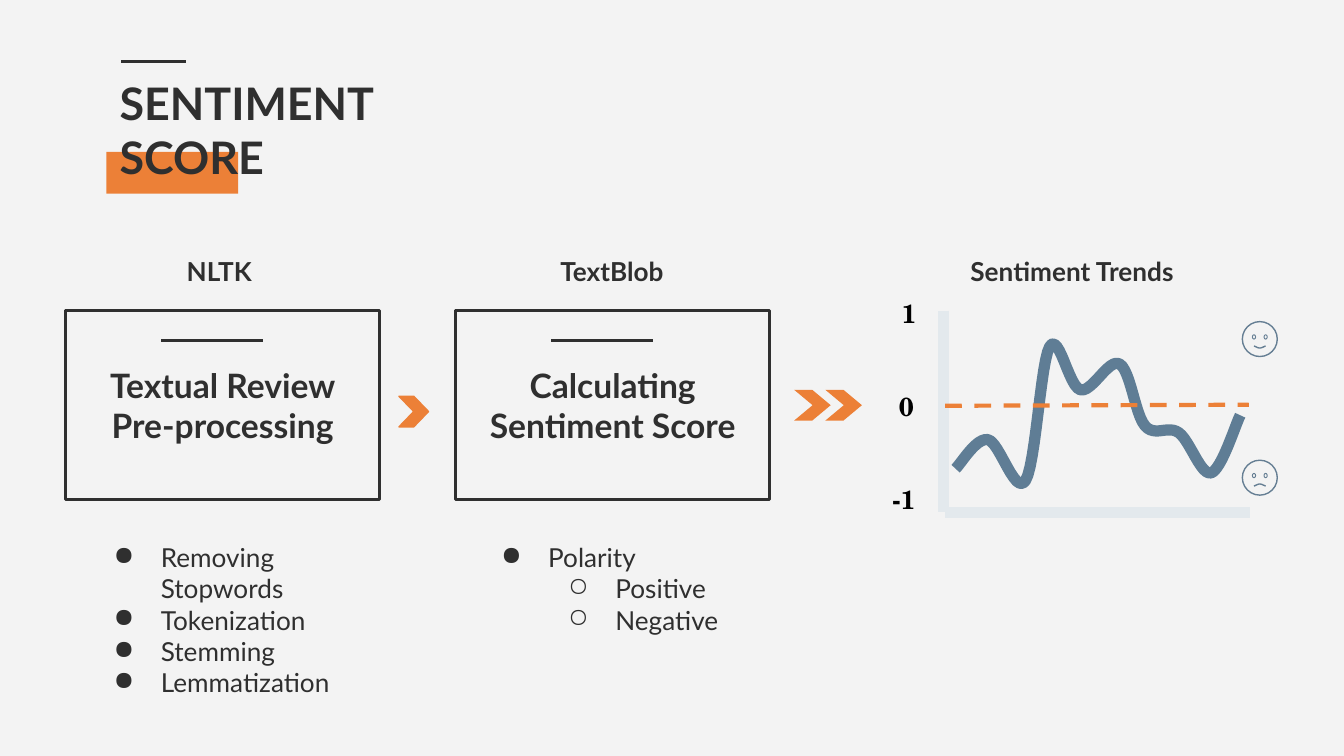
from dataclasses import dataclass

from lxml import etree
from pptx import Presentation
from pptx.dml.color import RGBColor
from pptx.enum.dml import MSO_LINE
from pptx.enum.shapes import MSO_CONNECTOR, MSO_SHAPE
from pptx.enum.text import MSO_ANCHOR, PP_ALIGN
from pptx.oxml.ns import qn
from pptx.util import Cm, Pt

RECT, OVAL, CHEVRON = MSO_SHAPE.RECTANGLE, MSO_SHAPE.OVAL, MSO_SHAPE.CHEVRON
STRAIGHT, DASH = MSO_CONNECTOR.STRAIGHT, MSO_LINE.DASH
TOP, MIDDLE = MSO_ANCHOR.TOP, MSO_ANCHOR.MIDDLE
LEFT, CENTER = PP_ALIGN.LEFT, PP_ALIGN.CENTER


@dataclass(frozen=True)
class Theme:
    background: str = "F3F3F3"
    ink: str = "2F2F2F"
    accent: str = "EC8037"
    trend: str = "5F7D95"
    face: str = "657E93"
    axis: str = "E3E9ED"
    tick: str = "000000"
    font: str = "Lato"
    tick_font: str = "TeX Gyre Schola"
    title: float = 24
    stage: float = 18
    body: float = 14
    rule: float = 1.5
    thick: float = 6


THEME = Theme()


def write(frame, lines, size=THEME.body, color=THEME.ink, font=THEME.font, bold=False,
          align=LEFT, anchor=TOP, inset=0.25, wrap=True, bullets=False):
    """Fill a text frame; with bullets, each line is a (level, text) pair."""
    frame.word_wrap, frame.vertical_anchor = wrap, anchor
    frame.margin_left = Cm(inset)
    frame.margin_right = frame.margin_top = frame.margin_bottom = Cm(0.25)
    for index, line in enumerate(lines):
        paragraph = frame.paragraphs[0] if index == 0 else frame.add_paragraph()
        level, text = line if bullets else (0, line)
        if bullets:
            add_bullet(paragraph, level, color)
        paragraph.text, paragraph.alignment = text, align
        style = paragraph.font
        style.name, style.size, style.bold = font, Pt(size), bold
        style.color.rgb = RGBColor.from_string(color)


def add_bullet(paragraph, level, color):
    paragraph.level = level
    properties = paragraph._p.get_or_add_pPr()
    properties.set("marL", str(Cm(1.27 * (level + 1))))
    properties.set("indent", str(Cm(-0.89)))
    bullet_color = etree.SubElement(properties, qn("a:buClr"))
    etree.SubElement(bullet_color, qn("a:srgbClr")).set("val", color)
    etree.SubElement(properties, qn("a:buChar")).set("char", "●○"[level])


def smooth(knots, steps=12):
    """Points of a Catmull-Rom curve through the knots."""
    padded = [knots[0], *knots, knots[-1]]
    points = [knots[0]]
    for before, start, end, after in zip(padded, padded[1:], padded[2:], padded[3:]):
        for step in range(1, steps + 1):
            t = step / steps
            points.append(tuple(
                (2 * b + (c - a) * t + (2 * a - 5 * b + 4 * c - d) * t ** 2
                 + (3 * b - a - 3 * c + d) * t ** 3) / 2
                for a, b, c, d in zip(before, start, end, after)))
    return points


class Painter:
    def __init__(self, slide, theme):
        self.slide, self.theme = slide, theme
        fill = slide.background.fill
        fill.solid()
        fill.fore_color.rgb = RGBColor.from_string(theme.background)

    def paint(self, shape, fill=None, line=None, weight=0.75):
        shape.shadow.inherit = False
        if fill:
            shape.fill.solid()
            shape.fill.fore_color.rgb = RGBColor.from_string(fill)
        else:
            shape.fill.background()
        if line:
            shape.line.color.rgb = RGBColor.from_string(line)
            shape.line.width = Pt(weight)
        else:
            shape.line.fill.background()
        return shape

    def shape(self, kind, x, y, width, height, **look):
        shape = self.slide.shapes.add_shape(kind, Cm(x), Cm(y), Cm(width), Cm(height))
        return self.paint(shape, **look)

    def chevron(self, x, y, width, depth, **look):
        arrow = self.shape(CHEVRON, x, y, width, 0.58, fill=self.theme.accent, **look)
        arrow.adjustments[0] = depth

    def text(self, x, y, width, height, lines, **style):
        box = self.slide.shapes.add_textbox(Cm(x), Cm(y), Cm(width), Cm(height))
        write(box.text_frame, lines, **style)

    def line(self, x1, y1, x2, y2, color, weight, dash=None):
        line = self.slide.shapes.add_connector(STRAIGHT, Cm(x1), Cm(y1), Cm(x2), Cm(y2))
        line.line.color.rgb = RGBColor.from_string(color)
        line.line.width = Pt(weight)
        if dash:
            line.line.dash_style = dash
        etree.SubElement(line._element.spPr, qn("a:effectLst"))

    def rule(self, x, y, length):
        self.line(x, y, x + length, y, self.theme.ink, self.theme.rule)

    def curve(self, knots, color, weight):
        start, *rest = [(Cm(x), Cm(y)) for x, y in smooth(knots)]
        builder = self.slide.shapes.build_freeform(*start)
        builder.add_line_segments(rest, close=False)
        self.paint(builder.convert_to_shape(), line=color, weight=weight)

    def heading(self, x, label):
        self.text(x, 4.62, 5.21, 0.99, [label], bold=True, anchor=MIDDLE, inset=0.48)

    def stage(self, x, lines):
        box = self.shape(RECT, x, 5.87, 5.94, 3.58, line=self.theme.ink,
                         weight=self.theme.rule)
        write(box.text_frame, lines, size=self.theme.stage, bold=True, align=CENTER,
              anchor=MIDDLE)
        self.rule(x + 1.81, 6.43, 1.93)

    def face(self, x, y, mouth_y, bend):
        """Face centred on x, y; a positive bend smiles, a negative one frowns."""
        color = self.theme.face
        self.shape(OVAL, x - 0.33, y - 0.33, 0.66, 0.66, line=color)
        for side in (-1, 1):
            self.shape(OVAL, x + side * 0.11 - 0.03, y - 0.08, 0.06, 0.08, line=color,
                       weight=0.5)
        mouth = [(x - 0.11, mouth_y), (x, mouth_y + bend), (x + 0.11, mouth_y)]
        self.curve(mouth, color, 0.75)


def main():
    deck = Presentation()
    deck.slide_width, deck.slide_height = Cm(25.4), Cm(14.29)
    painter = Painter(deck.slides.add_slide(deck.slide_layouts[6]), THEME)

    painter.shape(RECT, 2.01, 2.87, 2.49, 0.79, fill=THEME.accent)
    painter.rule(2.29, 1.17, 1.22)
    painter.text(2.01, 1.19, 6.78, 2.62, ["SENTIMENT SCORE"], size=THEME.title, bold=True)

    stages = [
        ("NLTK", 3.05, ["Textual Review", "Pre-processing"], 1.52,
         [(0, "Removing Stopwords"), (0, "Tokenization"), (0, "Stemming"),
          (0, "Lemmatization")]),
        ("TextBlob", 10.11, ["Calculating Sentiment Score"], 8.84,
         [(0, "Polarity"), (1, "Positive"), (1, "Negative")]),
    ]
    for index, (library, heading_x, task, steps_x, steps) in enumerate(stages):
        painter.heading(heading_x, library)
        painter.stage(1.24 + 7.37 * index, task)
        painter.text(steps_x, 9.98, 5.94, 1.75, steps, bullets=True)
    painter.heading(17.86, "Sentiment Trends")

    painter.chevron(7.54, 7.49, 0.56, 0.5, line=THEME.accent)
    for x in (15.01, 15.6):
        painter.chevron(x, 7.37, 0.69, 0.6)

    painter.face(23.81, 6.41, mouth_y=6.54, bend=0.04)
    painter.face(23.81, 9.03, mouth_y=9.19, bend=-0.04)

    trend = [(18.06, 8.86), (18.67, 8.31), (19.38, 9.09), (19.84, 6.55), (20.42, 7.37),
             (21.16, 6.88), (21.64, 8.05), (22.28, 8.18), (22.89, 8.94), (23.44, 7.85)]
    painter.curve(trend, THEME.trend, THEME.thick)
    painter.line(17.83, 5.87, 17.83, 9.68, THEME.axis, THEME.thick)
    painter.line(17.86, 9.68, 23.62, 9.68, THEME.axis, THEME.thick)
    painter.line(17.86, 7.67, 23.6, 7.65, THEME.accent, 2.25, dash=DASH)
    for index, (score, x) in enumerate([("1", 16.79), ("0", 16.74), ("-1", 16.61)]):
        painter.text(x, 5.38 + 1.75 * index, 1.07, 0.81, [score], color=THEME.tick,
                     font=THEME.tick_font, bold=True, wrap=False)

    deck.save("out.pptx")


if __name__ == "__main__":
    main()
